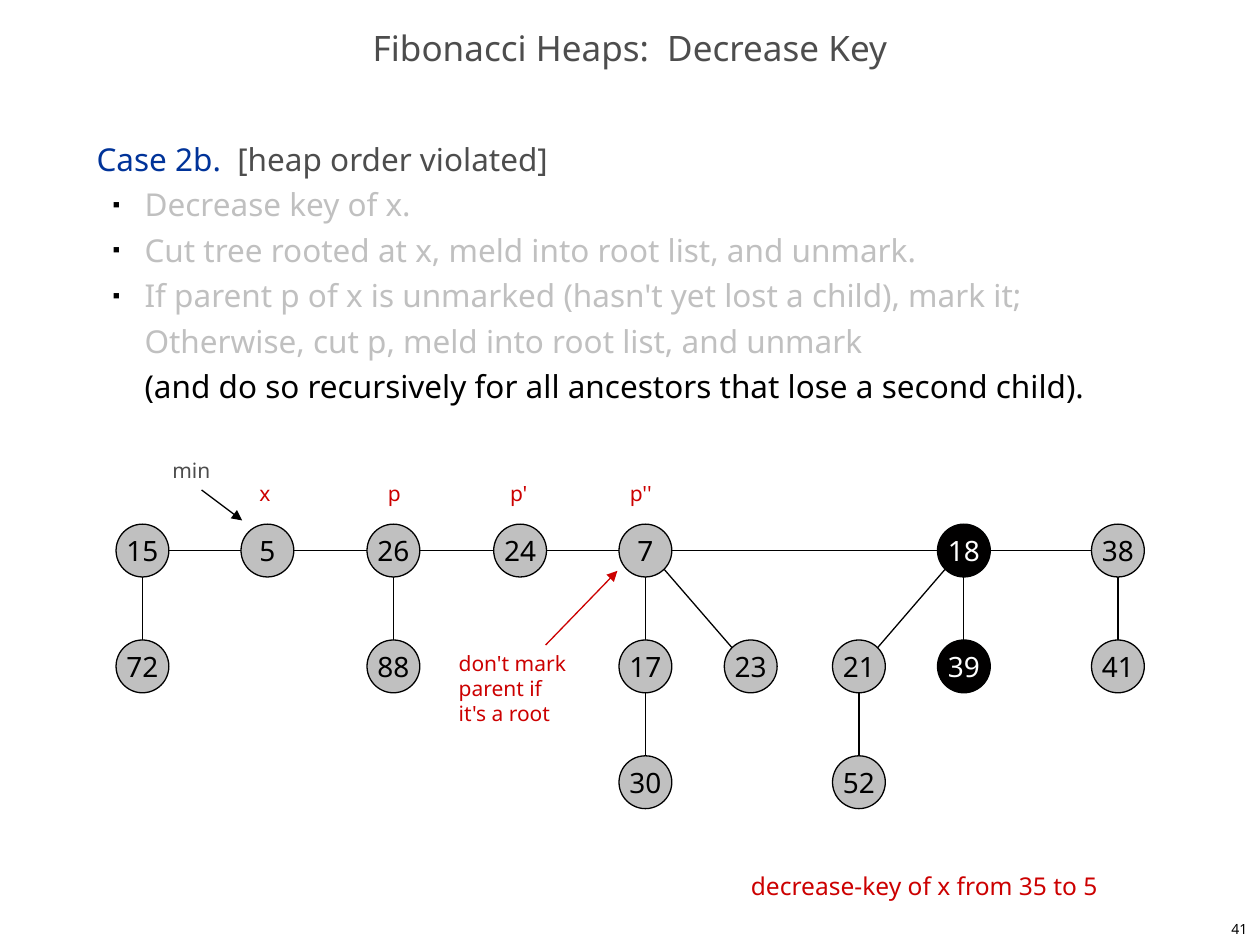
"""Build the Fibonacci heap slide on decrease key, case 2b."""
from lxml import etree
from pptx import Presentation
from pptx.dml.color import RGBColor
from pptx.enum import shapes, text
from pptx.oxml.ns import qn
from pptx.util import Pt

FONT = "Noto Sans"
HUES = {"black": "000000", "mark": "010000", "white": "FFFFFF", "gray": "C0C0C0",
        "dark": "4D4D4D", "blue": "003399", "red": "CC0000"}

TITLE = "Fibonacci Heaps:  Decrease Key"
CASE = ("Case 2b.  ", "[heap order violated]")
STEPS = [
    "Decrease key of x.",
    "Cut tree rooted at x, meld into root list, and unmark.",
    "If parent p of x is unmarked (hasn't yet lost a child), mark it;\v"
    "Otherwise, cut p, meld into root list, and unmark\v"
    "(and do so recursively for all ancestors that lose a second child).",
]
LEVELS = [
    {15: 81.4, 5: 152.8, 26: 224.8, 24: 297.2, 7: 368.8, 18: 550.8, 38: 638.8},
    {72: 81.4, 88: 224.8, 17: 368.8, 23: 429, 21: 490.8, 39: 550.8, 41: 638.8},
    {30: 368.8, 52: 490.8},
]
MARKED = {18, 39}
EDGES = [(15, 5), (5, 26), (26, 7), (7, 18), (18, 38), (15, 72), (26, 88), (7, 17),
         (7, 23), (18, 21), (18, 39), (38, 41), (17, 30), (21, 52)]
LABELS = [
    ("min", 91.4, 257.8, 36, 21.6, 12, "dark"),
    ("x", 141.2, 270.8, 21.6, 21.6, 12, "red"),
    ("p", 214.6, 270.8, 21.6, 21.6, 12, "red"),
    ("p'", 284.4, 270.8, 28.8, 21.6, 12, "red"),
    ("p''", 352.8, 270.8, 36, 21.6, 12, "red"),
    ("don't mark\vparent if\vit's a root", 255, 368, 76.4, 50.4, 12, "red"),
    ("decrease-key of x from 35 to 5", 422, 494, 267.8, 24.5, 14, "red"),
]
ARROWS = [((115.2, 280), (138.4, 297.4), "black"), ((311.8, 368.6), (352.8, 326.2), "red")]
TOP, STEP, RADIUS = 314.6, 66.2, 15.1
SPOTS = {key: (x, TOP + row * STEP) for row, keys in enumerate(LEVELS)
         for key, x in keys.items()}


def tint(name):
    return RGBColor.from_string(HUES[name])


def style(runs, size, hue):
    for run in runs:
        run.font.name, run.font.size = FONT, Pt(size)
        run.font.color.rgb = tint(hue)


def place(shape, *box):
    shape.left, shape.top, shape.width, shape.height = map(Pt, box)


def link(slide, start, end, hue="black", arrow=False):
    line = slide.shapes.add_connector(
        shapes.MSO_CONNECTOR.STRAIGHT, *map(Pt, (*start, *end)))
    line.line.color.rgb, line.line.width = tint(hue), Pt(0.75)
    if arrow:
        etree.SubElement(line.line._get_or_add_ln(), qn("a:tailEnd"), type="triangle")
    etree.SubElement(line._element.spPr, qn("a:effectLst"))


def join(slide, one, two):
    (x1, y1), (x2, y2) = SPOTS[one], SPOTS[two]
    dx, dy = (x2 > x1) - (x2 < x1), (y2 > y1) - (y2 < y1)
    reach = RADIUS * (0.71 if dx and dy else 1)
    link(slide, (x1 + dx * reach, y1 + dy * reach), (x2 - dx * reach, y2 - dy * reach))


def node(slide, key):
    x, y = SPOTS[key]
    disc = slide.shapes.add_shape(
        shapes.MSO_SHAPE.OVAL, *map(Pt, (x - RADIUS, y - RADIUS, 2 * RADIUS, 2 * RADIUS)))
    disc.shadow.inherit = False
    disc.fill.solid()
    disc.fill.fore_color.rgb = tint("mark" if key in MARKED else "gray")
    disc.line.color.rgb, disc.line.width = tint("black"), Pt(0.75)
    frame = disc.text_frame
    frame.text, frame.word_wrap = str(key), False
    frame.vertical_anchor = text.MSO_ANCHOR.MIDDLE
    frame.paragraphs[0].alignment = text.PP_ALIGN.CENTER
    style(frame.paragraphs[0].runs, 16, "white" if key in MARKED else "black")


def label(slide, words, x, y, wide, high, size, hue):
    frame = slide.shapes.add_textbox(*map(Pt, (x, y, wide, high))).text_frame
    frame.word_wrap = False
    frame.auto_size = text.MSO_AUTO_SIZE.SHAPE_TO_FIT_TEXT
    part = frame.paragraphs[0]
    part.text = words
    style(part.runs, size, hue)
    return frame


def indent(part, left, hang, mark=None):
    props = part._p.get_or_add_pPr()
    props.set("marL", str(Pt(left)))
    props.set("indent", str(Pt(hang)))
    if mark is None:
        etree.SubElement(props, qn("a:buNone"))
        return
    color = etree.SubElement(props, qn("a:buClr"))
    etree.SubElement(color, qn("a:srgbClr"), val=HUES["black"])
    etree.SubElement(props, qn("a:buSzPct"), val="35000")
    etree.SubElement(props, qn("a:buChar"), char=mark)


def head(shape):
    place(shape, 0, 12, 720, 36)
    frame = shape.text_frame
    frame.text, frame.auto_size = TITLE, text.MSO_AUTO_SIZE.NONE
    frame.vertical_anchor = text.MSO_ANCHOR.MIDDLE
    part = frame.paragraphs[0]
    part.alignment, part.line_spacing = text.PP_ALIGN.CENTER, 0.7
    style(part.runs, 20, "dark")


def body(shape):
    place(shape, 48, 72, 636, 426)
    frame = shape.text_frame
    frame.auto_size = text.MSO_AUTO_SIZE.NONE
    first = frame.paragraphs[0]
    for words, hue in zip(CASE, ("blue", "dark")):
        run = first.add_run()
        run.text = words
        style([run], 18, hue)
    for words in STEPS:
        part = frame.add_paragraph()
        part.text, part.level = words, 1
        style(part.runs, 18, "gray")
    style(part.runs[-1:], 18, "black")
    for part in frame.paragraphs:
        part.line_spacing, part.space_before = Pt(26), Pt(0)
        if part.level:
            indent(part, 27.4, -18, "■")
        else:
            indent(part, 0, 0)


def main():
    deck = Presentation()
    deck.slide_width, deck.slide_height = Pt(720), Pt(540)
    slide = deck.slides.add_slide(deck.slide_layouts[1])
    head(slide.shapes.title)
    body(slide.placeholders[1])
    for pair in EDGES:
        join(slide, *pair)
    for key in SPOTS:
        node(slide, key)
    for item in LABELS:
        label(slide, *item)
    for start, end, hue in ARROWS:
        link(slide, start, end, hue, arrow=True)
    page = label(slide, "41", 570, 522, 150, 18, 8, "black")
    page.auto_size = text.MSO_AUTO_SIZE.NONE
    page.vertical_anchor = text.MSO_ANCHOR.MIDDLE
    page.paragraphs[0].alignment = text.PP_ALIGN.RIGHT
    deck.save("out.pptx")


if __name__ == "__main__":
    main()
